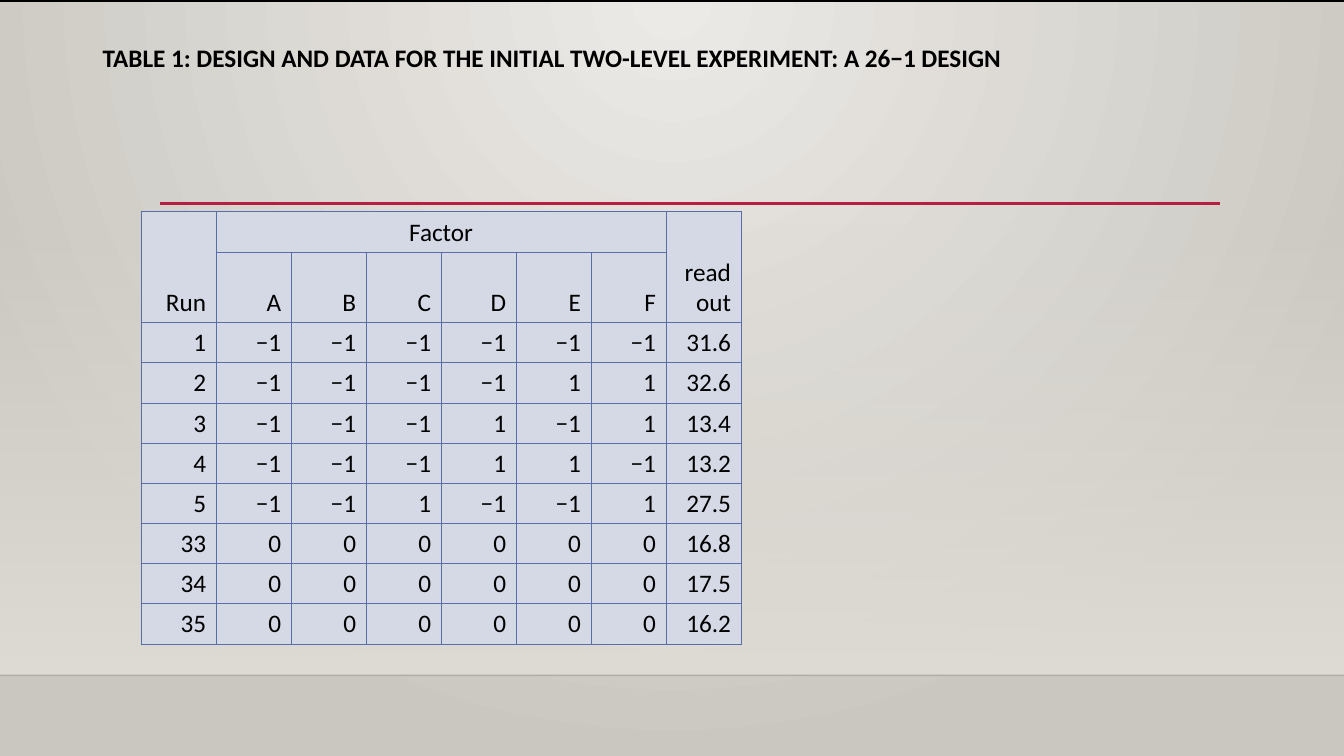
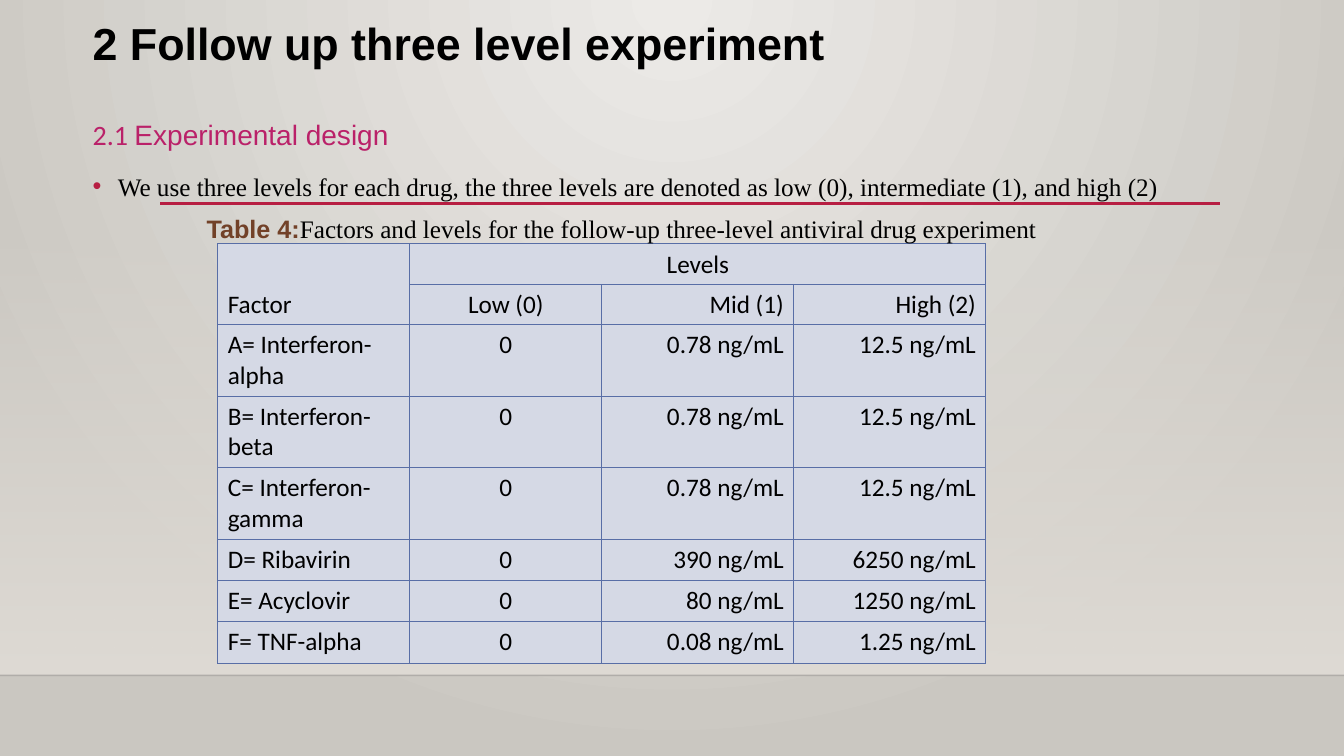
import pptx
import pptx.util
import pptx.dml.color
import pptx.enum.shapes
import pptx.enum.text
import pptx.oxml.ns
from lxml import etree

Inches = pptx.util.Inches
Pt = pptx.util.Pt
RGBColor = pptx.dml.color.RGBColor
qn = pptx.oxml.ns.qn
ALIGN = pptx.enum.text.PP_ALIGN
ANCHOR = pptx.enum.text.MSO_ANCHOR
RECTANGLE = pptx.enum.shapes.MSO_SHAPE.RECTANGLE
STRAIGHT = pptx.enum.shapes.MSO_CONNECTOR.STRAIGHT

BLACK = RGBColor(0x00, 0x00, 0x00)
CENTER_GLOW = RGBColor(0xEC, 0xEA, 0xE7)
EDGE_GRAY = RGBColor(0xCA, 0xC7, 0xC1)
BAND = RGBColor(0xDF, 0xDB, 0xD5)
FLOOR_LINE = RGBColor(0x00, 0x00, 0x01)
CRIMSON = RGBColor(0xB7, 0x1E, 0x42)
MAGENTA = RGBColor(0xBA, 0x21, 0x69)
BROWN = RGBColor(0x72, 0x41, 0x28)
CELL_FILL = RGBColor(0xD5, 0xD9, 0xE5)
CELL_BORDER = RGBColor(0x58, 0x6E, 0xA6)


def add_text(page, left, top, width, height, paragraphs, line_spacing=None):
    """Each paragraph is a list of (text, size, font name, colour, bold) runs."""
    box = page.shapes.add_textbox(Inches(left), Inches(top), Inches(width), Inches(height))
    box.text_frame.word_wrap = True
    for index, runs in enumerate(paragraphs):
        para = box.text_frame.paragraphs[0] if index == 0 else box.text_frame.add_paragraph()
        para.line_spacing = line_spacing
        for text, size, name, color, bold in runs:
            span = para.add_run()
            span.text = text
            span.font.size = Pt(size)
            span.font.name = name
            span.font.color.rgb = color
            span.font.bold = bold
    return box


def add_grid(page, left, top, width, heights, rows, aligns, header_rows=0):
    """Add a bordered table; a two-row header gets a tall first cell and a wide group cell."""
    table = page.shapes.add_table(len(rows), len(aligns), Inches(left), Inches(top),
                                  Inches(width), Inches(sum(heights))).table
    table.first_row = table.horz_banding = False
    for column in table.columns:
        column.width = Inches(width / len(aligns))
    for r, (height, row) in enumerate(zip(heights, rows)):
        table.rows[r].height = Inches(height)
        for c, text in enumerate(row):
            cell = table.cell(r, c)
            cell.text = text
            cell.margin_left = cell.margin_right = Inches(0.1)
            cell.margin_top, cell.margin_bottom = Inches(0.05), Inches(0.04)
            cell.vertical_anchor = ANCHOR.BOTTOM if r < header_rows else ANCHOR.TOP
            para = cell.text_frame.paragraphs[0]
            para.alignment = aligns[c]
            para.font.size = Pt(18)
            para.font.name = "Calibri"
            para.font.color.rgb = BLACK
            properties = cell._tc.get_or_add_tcPr()
            for side in ("a:lnL", "a:lnR", "a:lnT", "a:lnB"):
                border = etree.SubElement(properties, qn(side), w=str(Pt(0.75)))
                fill = etree.SubElement(border, qn("a:solidFill"))
                etree.SubElement(fill, qn("a:srgbClr"), val=str(CELL_BORDER))
            cell.fill.solid()
            cell.fill.fore_color.rgb = CELL_FILL
    if header_rows:
        table.cell(0, 0).merge(table.cell(1, 0))
        table.cell(0, 1).text_frame.paragraphs[0].alignment = ALIGN.CENTER
    return table


deck = pptx.Presentation()
deck.slide_width = Inches(13.33)
deck.slide_height = Inches(7.5)

# Shared background: a glow from the top centre
master = deck.slide_master
backdrop = master.background.fill
backdrop.gradient()
for stop, color in zip(backdrop.gradient_stops, (CENTER_GLOW, EDGE_GRAY)):
    stop.color.rgb = color
for stop, position in zip(backdrop.gradient_stops, (0, 1)):
    stop.position = position
linear = master.element.xpath(".//p:bg//a:lin")[0]
radial = etree.Element(qn("a:path"))
radial.set("path", "circle")
etree.SubElement(radial, qn("a:fillToRect"), l="43000", t="0", r="43000", b="100000")
linear.getparent().replace(linear, radial)

# Shared band and rules
pages = [deck.slides.add_slide(deck.slide_layouts[6]) for _ in range(2)]
for page in pages:
    band = page.shapes.add_shape(RECTANGLE, 0, Inches(2.21), deck.slide_width, Inches(4.49))
    band.shadow.inherit = False
    band.line.fill.background()
    band.fill.gradient()
    band.fill.gradient_angle = 270
    for position, stop in enumerate(band.fill.gradient_stops):
        stop.color.rgb = BAND
        stop.position = position
    clear = band._element.xpath(".//a:gs//a:srgbClr")[0]
    etree.SubElement(clear, qn("a:alpha"), val="0")

    for start, end, y, color, weight, alpha in ((0, 13.33, 6.7, FLOOR_LINE, 1, 20),
                                                (1.59, 12.1, 2.02, CRIMSON, 2.5, 100)):
        rule = page.shapes.add_connector(STRAIGHT, Inches(start), Inches(y), Inches(end), Inches(y))
        rule.line.color.rgb = color
        rule.line.width = Pt(weight)
        tint = rule._element.xpath(".//a:ln//a:srgbClr")[0]
        etree.SubElement(tint, qn("a:alpha"), val=str(alpha * 1000))
        etree.SubElement(rule._element.spPr, qn("a:effectLst"))

# Slide 1: two-level design
design, follow_up = pages
add_text(design, 0.92, 0.4, 11.5, 0.47, [[
    ("TABLE 1: DESIGN AND DATA FOR THE INITIAL TWO-LEVEL EXPERIMENT: A 26−1 DESIGN",
     18, "Calibri", BLACK, True)]], 0.9)
top_edge = design.shapes.add_shape(RECTANGLE, 0, 0, deck.slide_width, Inches(0.02))
top_edge.shadow.inherit = False
top_edge.fill.solid()
top_edge.fill.fore_color.rgb = BLACK
top_edge.line.color.rgb = BLACK
top_edge.line.width = Pt(0.75)

first_runs = [
    ["Run", "Factor", "", "", "", "", "", "read\vout"],
    ["", "A", "B", "C", "D", "E", "F", ""],
    ["1", "−1", "−1", "−1", "−1", "−1", "−1", "31.6"],
    ["2", "−1", "−1", "−1", "−1", "1", "1", "32.6"],
    ["3", "−1", "−1", "−1", "1", "−1", "1", "13.4"],
    ["4", "−1", "−1", "−1", "1", "1", "−1", "13.2"],
    ["5", "−1", "−1", "1", "−1", "−1", "1", "27.5"],
]
center_runs = [[run] + ["0"] * 6 + [readout]
               for run, readout in (("33", "16.8"), ("34", "17.5"), ("35", "16.2"))]
run_aligns = [ALIGN.RIGHT] * 8
runs_table = add_grid(design, 1.4, 2.1, 5.95, [0.4, 0.7] + [0.4] * 5,
                      first_runs, run_aligns, header_rows=2)
runs_table.cell(0, 1).merge(runs_table.cell(0, 6))
runs_table.cell(0, 7).merge(runs_table.cell(1, 7))
add_grid(design, 1.4, 5.19, 5.95, [0.4] * 3, center_runs, run_aligns)

# Slide 2: three-level follow-up
add_text(follow_up, 0.82, 0.17, 10.5, 1.15, [[
    ("2 Follow up three level experiment", 32, "Arial", BLACK, True)]], 0.9)
body = add_text(follow_up, 0.82, 1.05, 11.5, 4.76, [
    [("2.1 ", 20, "Calibri", MAGENTA, False),
     ("Experimental design", 20, "Arial", MAGENTA, False)],
    [("We use three levels for each drug, the three levels are denoted as low (0), "
      "intermediate (1), and high (2)", 18, "Times New Roman", BLACK, False)],
], 1.2)
for para in body.text_frame.paragraphs:
    para.space_before = Pt(10)
bullet = body.text_frame.paragraphs[1]._p.get_or_add_pPr()
bullet.set("marL", str(Inches(0.25)))
bullet.set("indent", str(-Inches(0.25)))
bullet_color = etree.SubElement(bullet, qn("a:buClr"))
etree.SubElement(bullet_color, qn("a:srgbClr"), val=str(CRIMSON))
etree.SubElement(bullet, qn("a:buFont"), typeface="Arial")
etree.SubElement(bullet, qn("a:buChar"), char="•")

drug_levels = [
    ["Factor", "Levels", "", ""],
    ["", "Low (0)", "Mid (1)", "High (2)"],
    ["A= Interferon-alpha", "0", "0.78 ng/mL", "12.5 ng/mL"],
    ["B= Interferon-beta", "0", "0.78 ng/mL", "12.5 ng/mL"],
    ["C= Interferon-gamma", "0", "0.78 ng/mL", "12.5 ng/mL"],
    ["D= Ribavirin", "0", "390 ng/mL", "6250 ng/mL"],
    ["E= Acyclovir", "0", "80 ng/mL", "1250 ng/mL"],
    ["F= TNF-alpha", "0", "0.08 ng/mL", "1.25 ng/mL"],
]
levels_table = add_grid(follow_up, 2.16, 2.42, 7.62, [0.4] * 2 + [0.71] * 3 + [0.41] * 3,
                        drug_levels, [ALIGN.LEFT, ALIGN.CENTER, ALIGN.RIGHT, ALIGN.RIGHT],
                        header_rows=2)
levels_table.cell(0, 1).merge(levels_table.cell(0, 3))
add_text(follow_up, 1.95, 2.07, 8.99, 0.4, [[
    ("Table 4:", 18, "Arial", BROWN, True),
    ("Factors and levels for the follow-up three-level antiviral drug experiment",
     18, "Times New Roman", BLACK, False)]])

deck.save("out.pptx")
